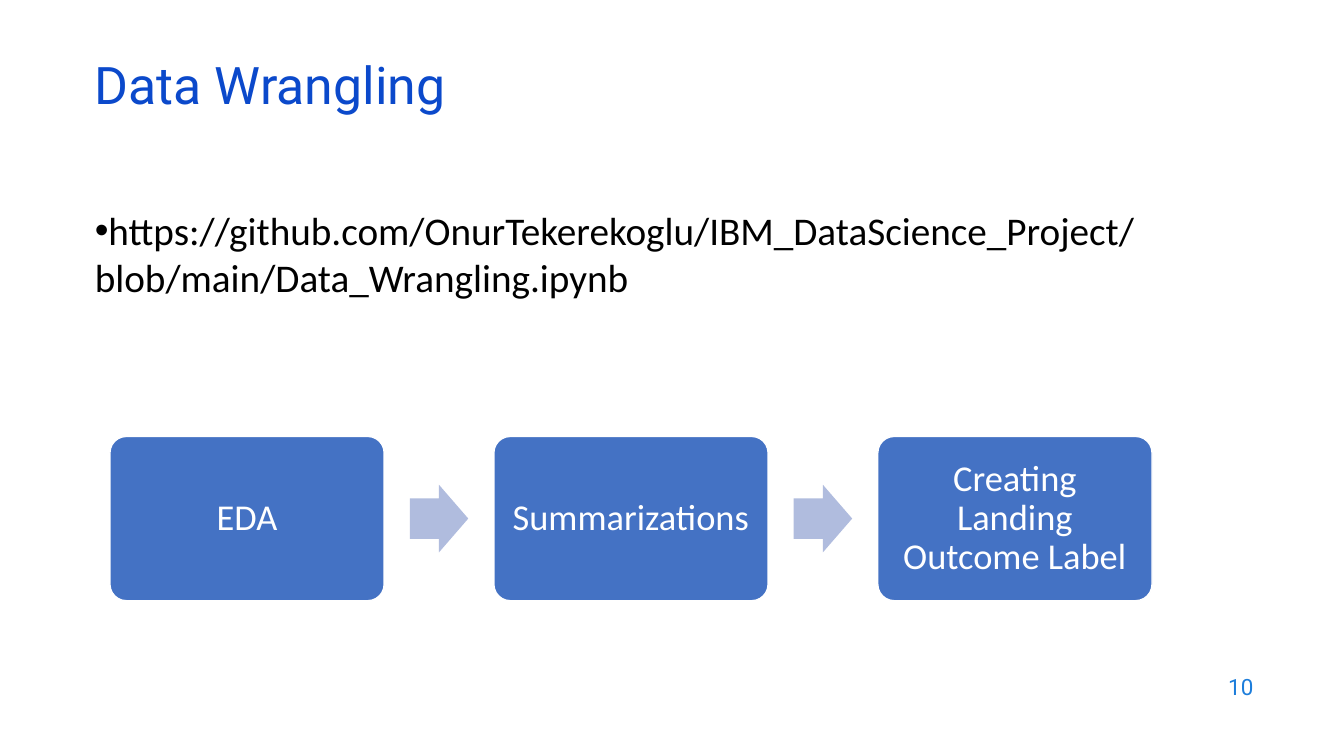
from pptx import Presentation
from pptx.dml.color import RGBColor
from pptx.enum.shapes import MSO_SHAPE as Shape
from pptx.enum.text import MSO_ANCHOR as Anchor, MSO_AUTO_SIZE as Fit, PP_ALIGN as Align
from pptx.oxml.ns import qn
from pptx.util import Inches, Pt
from lxml.etree import SubElement

TITLE = "Data Wrangling"
LINK = "https://github.com/OnurTekerekoglu/IBM_DataScience_Project/blob/main/Data_Wrangling.ipynb"
STEPS = ["EDA", "Summarizations", "Creating Landing Outcome Label"]
PAGE = "10"

LEFT, TOP = 1.09, 4.33
BOX_W, BOX_H = 2.72, 1.63
PITCH = 1.4 * BOX_W
ARROW_W, ARROW_H = 0.58, 0.67
MID = TOP + BOX_H / 2


def color(code):
    return RGBColor.from_string(code)


def write(shape, text, font, size, code, align, anchor, space=1.0):
    frame = shape.text_frame
    frame.text = text
    frame.word_wrap = True
    frame.auto_size = Fit.NONE
    frame.vertical_anchor = anchor
    para = frame.paragraphs[0]
    para.alignment = align
    para.line_spacing = space
    para.space_before = Pt(0)
    face = para.runs[0].font
    face.name, face.size = font, Pt(size)
    face.color.rgb = color(code)
    return para


def place(shape, *box):
    shape.left, shape.top, shape.width, shape.height = map(Inches, box)


def draw(kind, fill, adjust, *box):
    shape = slide.shapes.add_shape(kind, *map(Inches, box))
    shape.shadow.inherit = False
    shape.fill.solid()
    shape.fill.fore_color.rgb = color(fill)
    shape.line.fill.background()
    for i, share in enumerate(adjust):
        shape.adjustments[i] = share
    return shape


deck = Presentation()
deck.slide_width, deck.slide_height = Inches(13.33), Inches(7.5)
slide = deck.slides.add_slide(deck.slide_layouts[1])

title, body = slide.placeholders
place(title, 0.84, 0.59, 11.5, 0.6)
write(title, TITLE, "Roboto", 37, "0B49CB", Align.LEFT, Anchor.MIDDLE, 0.8)

place(body, 0.84, 2, 10.81, 1.41)
item = write(body, LINK, "Calibri", 28, "000000", Align.LEFT, Anchor.TOP)
props = item._p.get_or_add_pPr()
props.set("marL", "0")
props.set("indent", "0")
SubElement(props, qn("a:buChar")).set("char", "•")

for n, step in enumerate(STEPS):
    x = LEFT + n * PITCH
    if n:
        gap = PITCH - BOX_W
        draw(Shape.RIGHT_ARROW, "B0BCDE", (0.6, 0.5),
             x - (gap + ARROW_W) / 2, MID - ARROW_H / 2, ARROW_W, ARROW_H)
    box = draw(Shape.ROUNDED_RECTANGLE, "4472C4", (0.1,), x, TOP, BOX_W, BOX_H)
    box.line.color.rgb = color("FFFFFF")
    box.line.width = Pt(1)
    frame = box.text_frame
    frame.margin_left = frame.margin_right = Inches(0.13)
    write(box, step, "Calibri", 26, "FFFFFF", Align.CENTER, Anchor.MIDDLE, 0.9)

page = slide.shapes.add_textbox(*map(Inches, (9.53, 6.59, 3, 0.44)))
write(page, PAGE, "Roboto", 16, "1C7DDB", Align.RIGHT, Anchor.MIDDLE)

deck.save("out.pptx")
